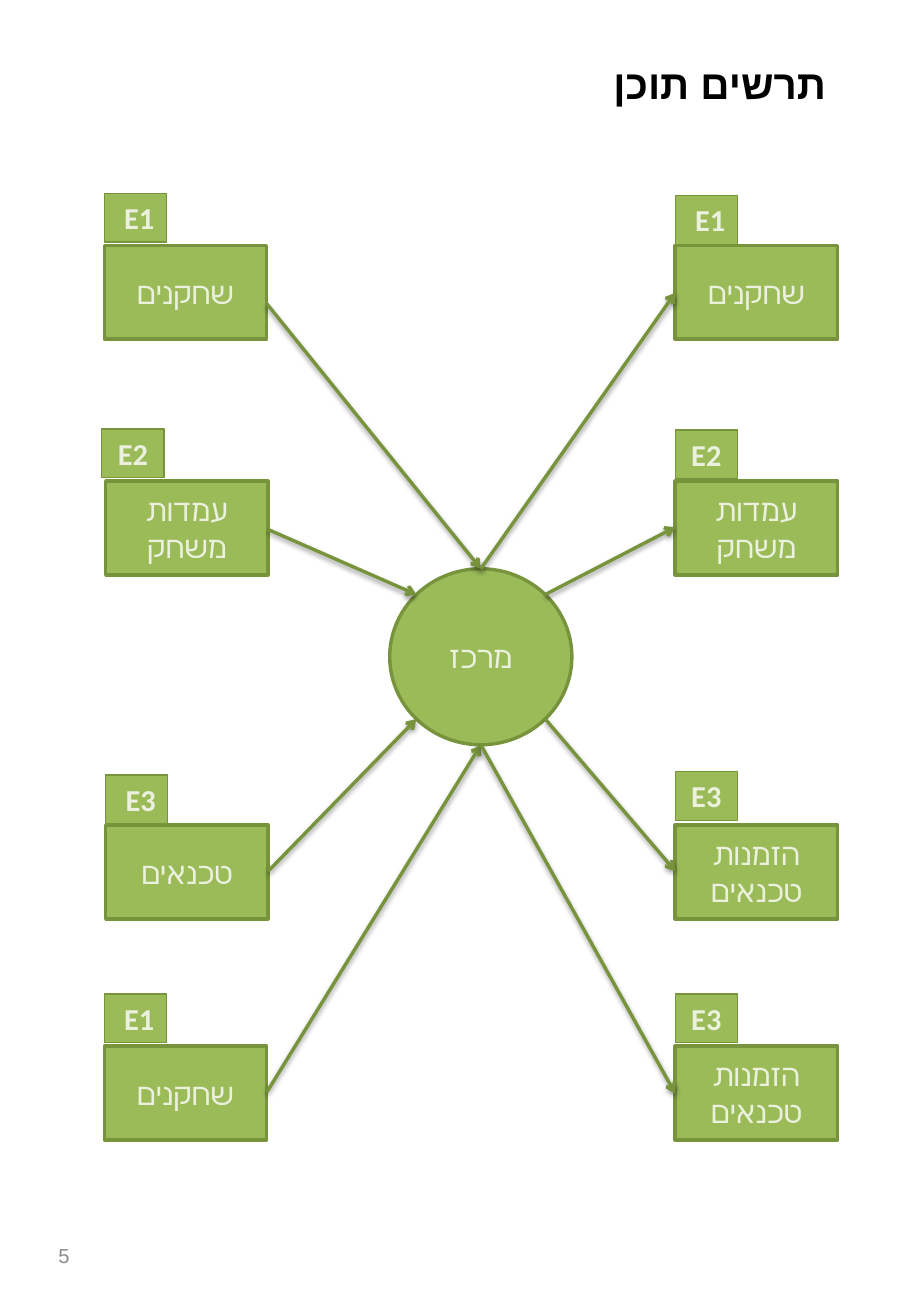
from math import cos, pi, sin

from lxml import etree
from pptx import Presentation
from pptx import util as u
from pptx.dml.color import RGBColor
from pptx.enum import shapes, text
from pptx.oxml.ns import qn

GREEN = RGBColor(0x9B, 0xBB, 0x59)
DARK_GREEN = RGBColor(0x77, 0x93, 0x3C)
PALE_GREEN = RGBColor(0xEB, 0xF1, 0xDE)
BLACK = RGBColor(0, 0, 0)
GRAY = RGBColor(0x8C, 0x8C, 0x8C)

LEFT, CENTER, RIGHT = text.PP_ALIGN.LEFT, text.PP_ALIGN.CENTER, text.PP_ALIGN.RIGHT
MIDDLE, TOP = text.MSO_ANCHOR.MIDDLE, text.MSO_ANCHOR.TOP

# Sizes in centimetres
BOX_WIDTH, BOX_HEIGHT = 3.4, 1.96
TAG_WIDTH, TAG_HEIGHT = 1.3, 1.02
HUB_LEFT, HUB_TOP, HUB_WIDTH, HUB_HEIGHT = 8.15, 11.89, 3.81, 3.68
RIGHT_COLUMN = 14.12

# Box left and top, label, tag left and top, tag, tag alignment,
# arrow height on the box, angle on the hub in degrees
SOURCES = [
    (2.18, 5.13, "שחקנים", 2.18, 4.04, "E1", RIGHT, 6.35, 90),
    (2.21, 10.06, "עמדות משחק", 2.13, 8.97, "E2", CENTER, 11.07, 135),
    (2.21, 17.25, "טכנאים", 2.21, 16.2, "E3", RIGHT, 18.21, 225),
    (2.18, 21.87, "שחקנים", 2.18, 20.78, "E1", RIGHT, 22.83, 270),
]
# Box top, label, tag top, tag, tag alignment, arrow height, hub angle
TARGETS = [
    (5.13, "שחקנים", 4.09, "E1", RIGHT, 6.12, 90),
    (10.06, "עמדות משחק", 8.99, "E2", CENTER, 11.02, 45),
    (17.25, "הזמנות\nטכנאים", 16.13, "E3", CENTER, 18.21, 315),
    (21.87, "הזמנות\nטכנאים", 20.78, "E3", CENTER, 22.86, 270),
]


def write(shape, words, size, color, align=CENTER, anchor=MIDDLE,
          font="Calibri", hebrew_font="Calibri", bold=False):
    """Fill a shape with right-to-left text."""
    frame = shape.text_frame
    frame.text = words
    frame.word_wrap = True
    frame.vertical_anchor = anchor
    for paragraph in frame.paragraphs:
        paragraph.alignment = align
        paragraph._p.get_or_add_pPr().set("rtl", "1")
        for run in paragraph.runs:
            run.font.size = u.Pt(size)
            run.font.name = font
            run.font.bold = bold
            run.font.color.rgb = color
            etree.SubElement(run._r.rPr, qn("a:cs"), typeface=hebrew_font)


def add_green_shape(slide, kind, left, top, width, height, line_width):
    shape = slide.shapes.add_shape(
        kind, u.Cm(left), u.Cm(top), u.Cm(width), u.Cm(height))
    shape.shadow.inherit = False
    shape.fill.solid()
    shape.fill.fore_color.rgb = GREEN
    shape.line.color.rgb = DARK_GREEN
    shape.line.width = u.Pt(line_width)
    return shape


def add_box(slide, left, top, label):
    box = add_green_shape(slide, shapes.MSO_SHAPE.RECTANGLE,
                          left, top, BOX_WIDTH, BOX_HEIGHT, 2)
    write(box, label, 18, PALE_GREEN)


def add_tag(slide, left, top, label, align):
    tag = add_green_shape(slide, shapes.MSO_SHAPE.RECTANGLE,
                          left, top, TAG_WIDTH, TAG_HEIGHT, 0.75)
    write(tag, label, 18, PALE_GREEN, align, TOP, bold=True)


def add_hub(slide, label):
    hub = add_green_shape(slide, shapes.MSO_SHAPE.OVAL,
                          HUB_LEFT, HUB_TOP, HUB_WIDTH, HUB_HEIGHT, 2)
    write(hub, label, 18, PALE_GREEN)


def hub_point(degrees):
    """Point on the rim of the hub, counted anticlockwise from the right."""
    angle = degrees * pi / 180
    return (HUB_LEFT + HUB_WIDTH / 2 * (1 + cos(angle)),
            HUB_TOP + HUB_HEIGHT / 2 * (1 - sin(angle)))


def add_arrow(slide, start, end):
    arrow = slide.shapes.add_connector(
        shapes.MSO_CONNECTOR.STRAIGHT, *(u.Cm(value) for value in start + end))
    arrow.line.color.rgb = DARK_GREEN
    arrow.line.width = u.Pt(2)
    etree.SubElement(arrow.line._get_or_add_ln(), qn("a:tailEnd"), type="arrow")
    # Soft shadow straight below the line
    effects = etree.SubElement(arrow._element.spPr, qn("a:effectLst"))
    shadow = etree.SubElement(
        effects, qn("a:outerShdw"), blurRad=str(u.Pt(3.1)),
        dist=str(u.Pt(1.6)), dir="5400000", rotWithShape="0")
    color = etree.SubElement(shadow, qn("a:srgbClr"), val=str(BLACK))
    etree.SubElement(color, qn("a:alpha"), val="38000")


def add_title(slide, words):
    title = slide.shapes.title
    title.left, title.top = u.Cm(1.32), u.Cm(0.76)
    title.width, title.height = u.Cm(16.21), u.Cm(1.96)
    write(title, words, 24, BLACK, RIGHT, font="Arial", hebrew_font="Arial", bold=True)


def add_page_number(slide, number):
    box = slide.shapes.add_textbox(u.Cm(0.97), u.Cm(25.5), u.Cm(4.45), u.Cm(1.47))
    write(box, number, 12, GRAY, LEFT, hebrew_font="Arial")


def main():
    presentation = Presentation()
    presentation.slide_width = u.Cm(19.05)
    presentation.slide_height = u.Cm(27.51)
    slide = presentation.slides.add_slide(presentation.slide_layouts[5])

    add_title(slide, "תרשים תוכן")
    add_hub(slide, "מרכז")

    # Inputs on the left
    for left, top, label, tag_left, tag_top, tag, align, arrow_y, angle in SOURCES:
        add_box(slide, left, top, label)
        add_tag(slide, tag_left, tag_top, tag, align)
        add_arrow(slide, (left + BOX_WIDTH, arrow_y), hub_point(angle))

    # Outputs on the right
    for top, label, tag_top, tag, align, arrow_y, angle in TARGETS:
        add_box(slide, RIGHT_COLUMN, top, label)
        add_tag(slide, RIGHT_COLUMN, tag_top, tag, align)
        add_arrow(slide, hub_point(angle), (RIGHT_COLUMN, arrow_y))

    add_page_number(slide, "5")
    presentation.save("out.pptx")


main()
